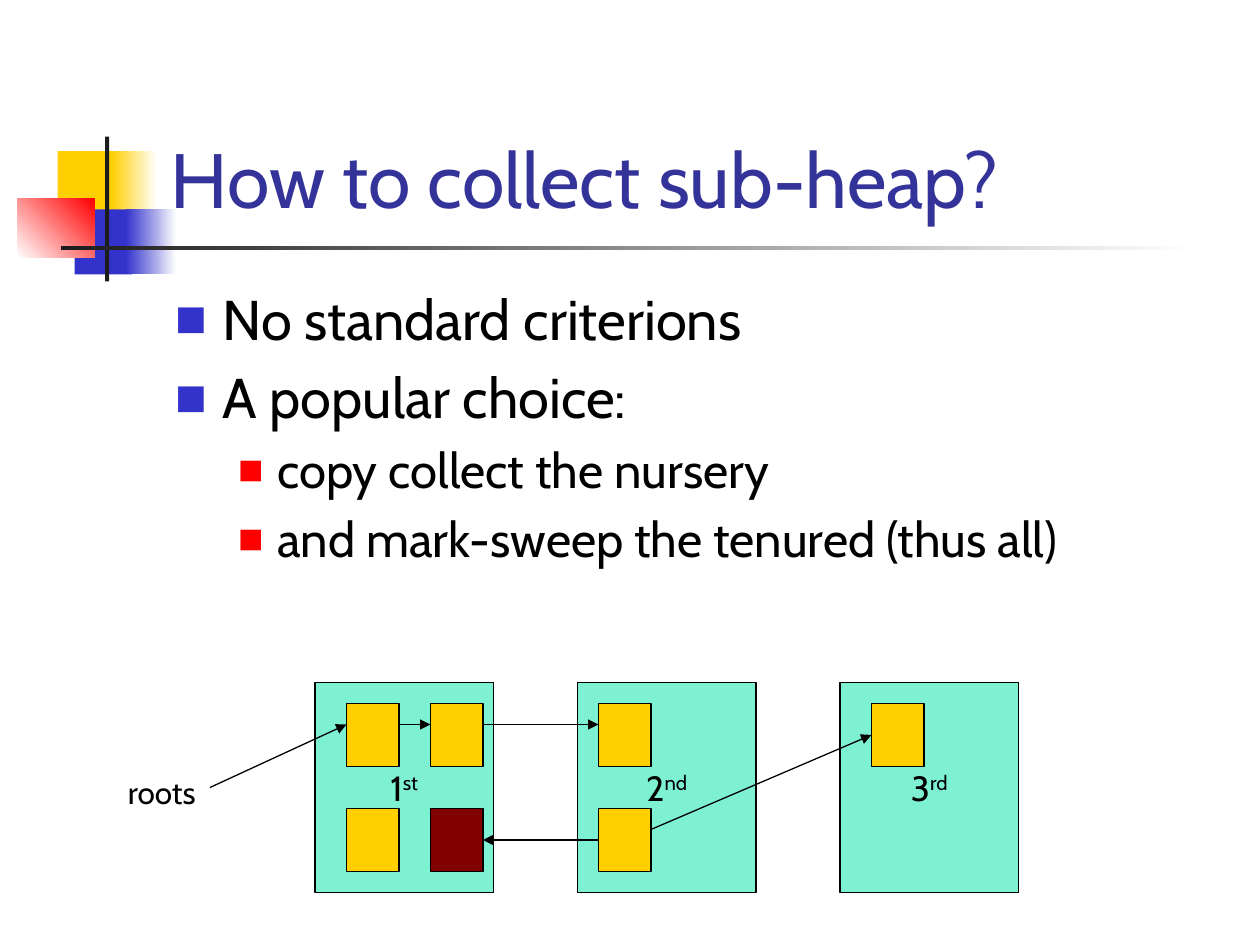
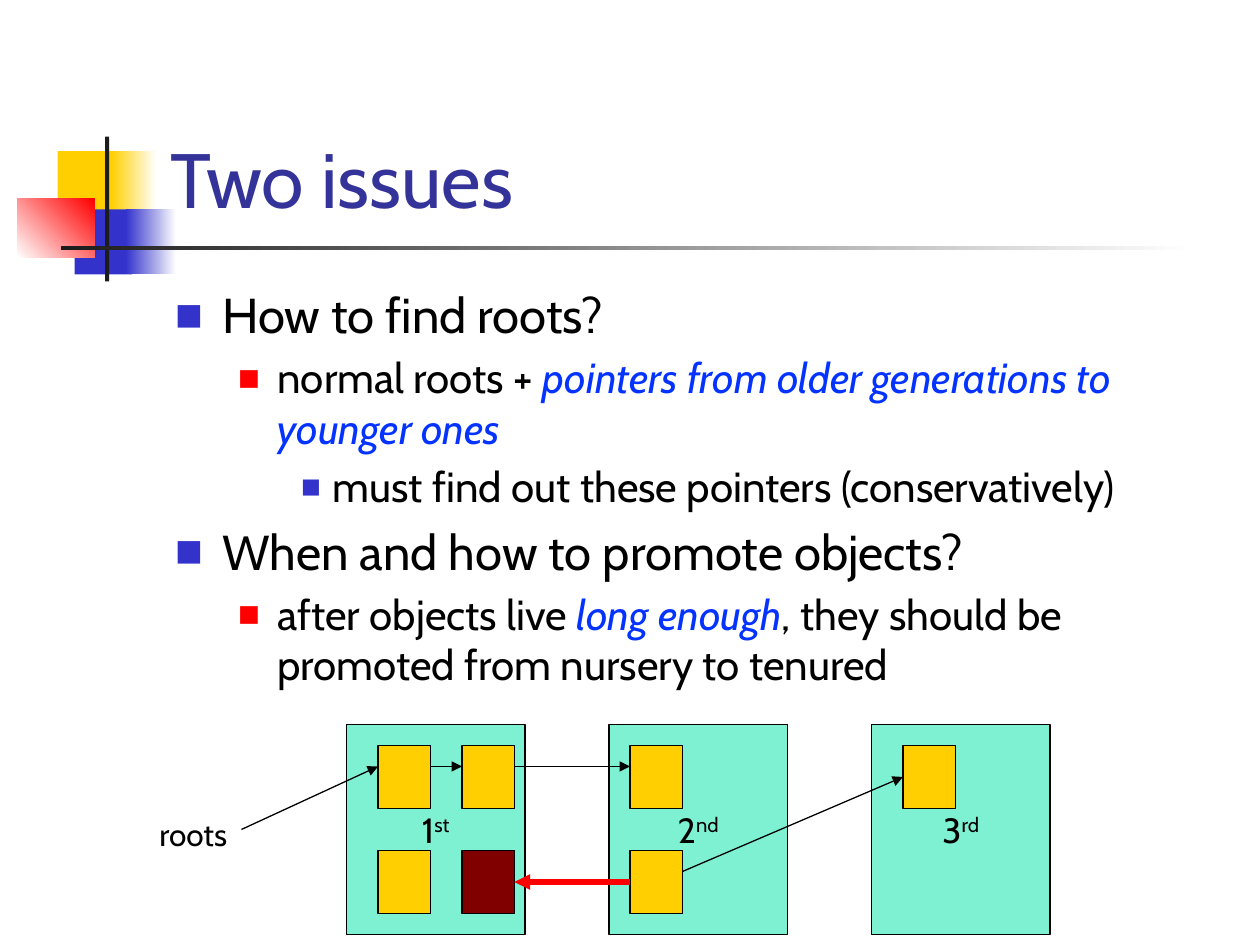
from dataclasses import dataclass
from typing import Any, NamedTuple, Optional

from lxml.etree import SubElement as Sub
from pptx import Presentation
from pptx.dml.color import RGBColor as RGB
from pptx.enum.shapes import MSO_CONNECTOR as CONN, MSO_SHAPE as SHAPE
from pptx.enum.text import MSO_ANCHOR as ANCHOR, PP_ALIGN as ALIGN
from pptx.oxml.ns import qn
from pptx.util import Inches, Pt

COLS, ROWS = 120, 90
WIDTH, HEIGHT = Inches(10), Inches(7.5)
LEFT, RIGHT = 1, 3


@dataclass(frozen=True)
class Theme:
    font: str = "Cabin"
    title: str = "333399"
    text: str = "000000"
    accent: str = "0432FF"
    yellow: str = "FFCF01"
    blue: str = "3333CC"
    red: str = "FF0000"
    dark: str = "1C1C1C"
    white: str = "FFFFFF"
    heap: str = "00E4A8"
    garbage: str = "800000"
    title_size: int = 44
    heap_size: int = 20
    roots_size: int = 18
    thin: float = 0.75
    thick: float = 3


T = Theme()


class Box(NamedTuple):
    col: float
    row: float
    cols: float
    rows: float


class Block(NamedTuple):
    box: Box
    start: str
    end: Optional[str] = None
    angle: int = 0


class Level(NamedTuple):
    indent: float
    hang: float
    color: str
    percent: int


class Span(NamedTuple):
    text: str
    color: str = T.text
    italic: bool = False


class Bullet(NamedTuple):
    level: int
    size: int
    spans: tuple[Span, ...]


class Arrow(NamedTuple):
    start: tuple[float, float]
    end: tuple[float, float]
    source: Optional[str] = None
    target: Optional[str] = None
    old_to_young: bool = False


class Page(NamedTuple):
    title: str
    bullets: tuple[Bullet, ...]
    origin: tuple[float, float]
    old_color: str
    old_width: float


DECOR = (
    Block(Box(5.5, 14.4, 5.8, 6.2), T.yellow),
    Block(Box(10.6, 14.4, 4.3, 6.2), T.yellow, T.white),
    Block(Box(7.1, 19.95, 5.5, 6.2), T.blue),
    Block(Box(12, 19.95, 4.8, 6.2), T.blue, T.white),
    Block(Box(1.65, 18.95, 7.35, 5.55), T.white, T.red, 45),
    Block(Box(10, 13, 0.4, 13.8), T.dark),
    Block(Box(5.8, 23.4, 108, 0.4), T.dark, T.white),
)
TITLE_BOX = Box(15.1, 2.75, 102.2, 19.2)
BODY_BOX = Box(15.5, 26.5, 102, 54)
ROOTS_BOX = Box(-19, 8, 15, 4.8)
LEVELS = (
    Level(4.5, 4.5, T.blue, 60),
    Level(9.75, 3.75, T.red, 55),
    Level(15, 3, T.blue, 50),
)

HEAP_PITCH, HEAP_COLS, HEAP_ROWS = 25, 17, 20
HEAPS = (("1", "st"), ("2", "nd"), ("3", "rd"))
OBJECT_COLS, OBJECT_ROWS = 5, 6
OBJECTS = {
    "young_root": (3, 2),
    "young_next": (11, 2),
    "young_free": (3, 12),
    "garbage": (11, 12),
    "old_live": (27, 2),
    "old_source": (27, 12),
    "oldest": (53, 2),
}
ARROWS = (
    Arrow((-10, 10), (3, 4)),
    Arrow((8, 4), (11, 4)),
    Arrow((16, 4), (27, 4)),
    Arrow((32, 14), (53, 5), target="oldest"),
    Arrow((27, 15), (16, 15), "old_source", "garbage", True),
)


def x(cols: float) -> int:
    return round(WIDTH * cols / COLS)


def y(rows: float) -> int:
    return round(HEIGHT * rows / ROWS)


def place(box: Box) -> tuple[int, int, int, int]:
    return x(box.col), y(box.row), x(box.cols), y(box.rows)


def shift(box: Box, origin: tuple[float, float]) -> Box:
    return box._replace(col=box.col + origin[0], row=box.row + origin[1])


def apply(target: Any, **values: Any) -> None:
    for name, value in values.items():
        setattr(target, name, value)


def add_run(p: Any, span: Span, size: float) -> Any:
    r = p.add_run()
    apply(r, text=span.text)
    apply(r.font, name=T.font, size=Pt(size), italic=span.italic)
    r.font.color.rgb = RGB.from_string(span.color)
    return r


def add_text(s: Any, box: Box, anchor: Any = ANCHOR.TOP) -> Any:
    tf = s.shapes.add_textbox(*place(box)).text_frame
    apply(tf, word_wrap=True, vertical_anchor=anchor)
    return tf


def add_rect(s: Any, box: Box, color: str, outline: bool = False, opacity: int = 100) -> Any:
    sp = s.shapes.add_shape(SHAPE.RECTANGLE, *place(box))
    sp.shadow.inherit = False
    sp.fill.solid()
    sp.fill.fore_color.rgb = RGB.from_string(color)
    if opacity < 100:
        rgb = sp._element.spPr.find(".//" + qn("a:srgbClr"))
        Sub(rgb, qn("a:alpha"), val=str(opacity * 1000))
    if outline:
        sp.line.color.rgb = RGB.from_string(T.text)
        sp.line.width = Pt(T.thin)
    else:
        sp.line.fill.background()
    return sp


def add_block(s: Any, block: Block) -> None:
    sp = add_rect(s, block.box, block.start)
    if block.end:
        sp.fill.gradient()
        sp.fill.gradient_angle = block.angle
        for stop, color in zip(sp.fill.gradient_stops, (block.start, block.end)):
            stop.color.rgb = RGB.from_string(color)


def add_bullet(p: Any, bullet: Bullet, first: bool) -> None:
    level = LEVELS[bullet.level]
    apply(p, level=bullet.level, space_before=Pt(0 if first else 0.2 * bullet.size))
    pPr = p._p.get_or_add_pPr()
    pPr.set("marL", str(x(level.indent)))
    pPr.set("indent", str(-x(level.hang)))
    Sub(Sub(pPr, qn("a:buClr")), qn("a:srgbClr"), val=level.color)
    Sub(pPr, qn("a:buSzPct"), val=str(level.percent * 1000))
    Sub(pPr, qn("a:buFont"), typeface=T.font)
    Sub(pPr, qn("a:buChar"), char="■")
    for span in bullet.spans:
        add_run(p, span, bullet.size)


def add_heap(s: Any, box: Box, number: str, suffix: str) -> None:
    sp = add_rect(s, box, T.heap, outline=True, opacity=50)
    tf = sp.text_frame
    apply(tf, word_wrap=False, vertical_anchor=ANCHOR.MIDDLE)
    p = tf.paragraphs[0]
    p.alignment = ALIGN.CENTER
    add_run(p, Span(number), T.heap_size)
    r = add_run(p, Span(suffix), T.heap_size)
    r._r.get_or_add_rPr().set("baseline", "30000")


def add_arrow(s: Any, arrow: Arrow, page: Page, objects: dict[str, Any]) -> None:
    col, row = page.origin
    (c1, r1), (c2, r2) = arrow.start, arrow.end
    c = s.shapes.add_connector(CONN.STRAIGHT, x(col + c1), y(row + r1), x(col + c2), y(row + r2))
    color, width = (page.old_color, page.old_width) if arrow.old_to_young else (T.text, T.thin)
    c.line.color.rgb = RGB.from_string(color)
    c.line.width = Pt(width)
    spPr = c._element.spPr
    Sub(spPr.find(qn("a:ln")), qn("a:tailEnd"), type="triangle")
    Sub(spPr, qn("a:effectLst"))
    if arrow.source:
        c.begin_connect(objects[arrow.source], LEFT)
    if arrow.target:
        c.end_connect(objects[arrow.target], RIGHT if arrow.old_to_young else LEFT)


def add_diagram(s: Any, page: Page) -> None:
    for i, (number, suffix) in enumerate(HEAPS):
        box = Box(i * HEAP_PITCH, 0, HEAP_COLS, HEAP_ROWS)
        add_heap(s, shift(box, page.origin), number, suffix)
    objects = {}
    for name, (col, row) in OBJECTS.items():
        box = shift(Box(col, row, OBJECT_COLS, OBJECT_ROWS), page.origin)
        color = T.garbage if name == "garbage" else T.yellow
        objects[name] = add_rect(s, box, color, outline=True)
    for arrow in ARROWS:
        add_arrow(s, arrow, page, objects)
    tf = add_text(s, shift(ROOTS_BOX, page.origin))
    add_run(tf.paragraphs[0], Span("roots"), T.roots_size)


def add_page(prs: Any, page: Page) -> None:
    s = prs.slides.add_slide(prs.slide_layouts[6])
    for block in DECOR:
        add_block(s, block)
    tf = add_text(s, TITLE_BOX, ANCHOR.BOTTOM)
    add_run(tf.paragraphs[0], Span(page.title, T.title), T.title_size)
    tf = add_text(s, BODY_BOX)
    for i, bullet in enumerate(page.bullets):
        p = tf.add_paragraph() if i else tf.paragraphs[0]
        add_bullet(p, bullet, first=i == 0)
    add_diagram(s, page)


PAGES = (
    Page("How to collect sub-heap?", (
        Bullet(0, 32, (Span("No standard criterions"),)),
        Bullet(0, 32, (Span("A popular choice:"),)),
        Bullet(1, 28, (Span("copy collect the nursery"),)),
        Bullet(1, 28, (Span("and mark-sweep the tenured (thus all)"),)),
    ), (30, 65), T.text, T.thin),
    Page("Two issues", (
        Bullet(0, 28, (Span("How to find roots?"),)),
        Bullet(1, 24, (
            Span("normal roots + "),
            Span("pointers from older generations to younger ones", T.accent, True),
        )),
        Bullet(2, 24, (Span("must find out these pointers (conservatively)"),)),
        Bullet(0, 28, (Span("When and how to promote objects?"),)),
        Bullet(1, 24, (
            Span("after objects live "),
            Span("long enough", T.accent, True),
            Span(", they should be promoted from nursery to tenured"),
        )),
    ), (33, 69), T.red, T.thick),
)


def main() -> None:
    prs = Presentation()
    apply(prs, slide_width=WIDTH, slide_height=HEIGHT)
    for page in PAGES:
        add_page(prs, page)
    prs.save("out.pptx")


if __name__ == "__main__":
    main()
